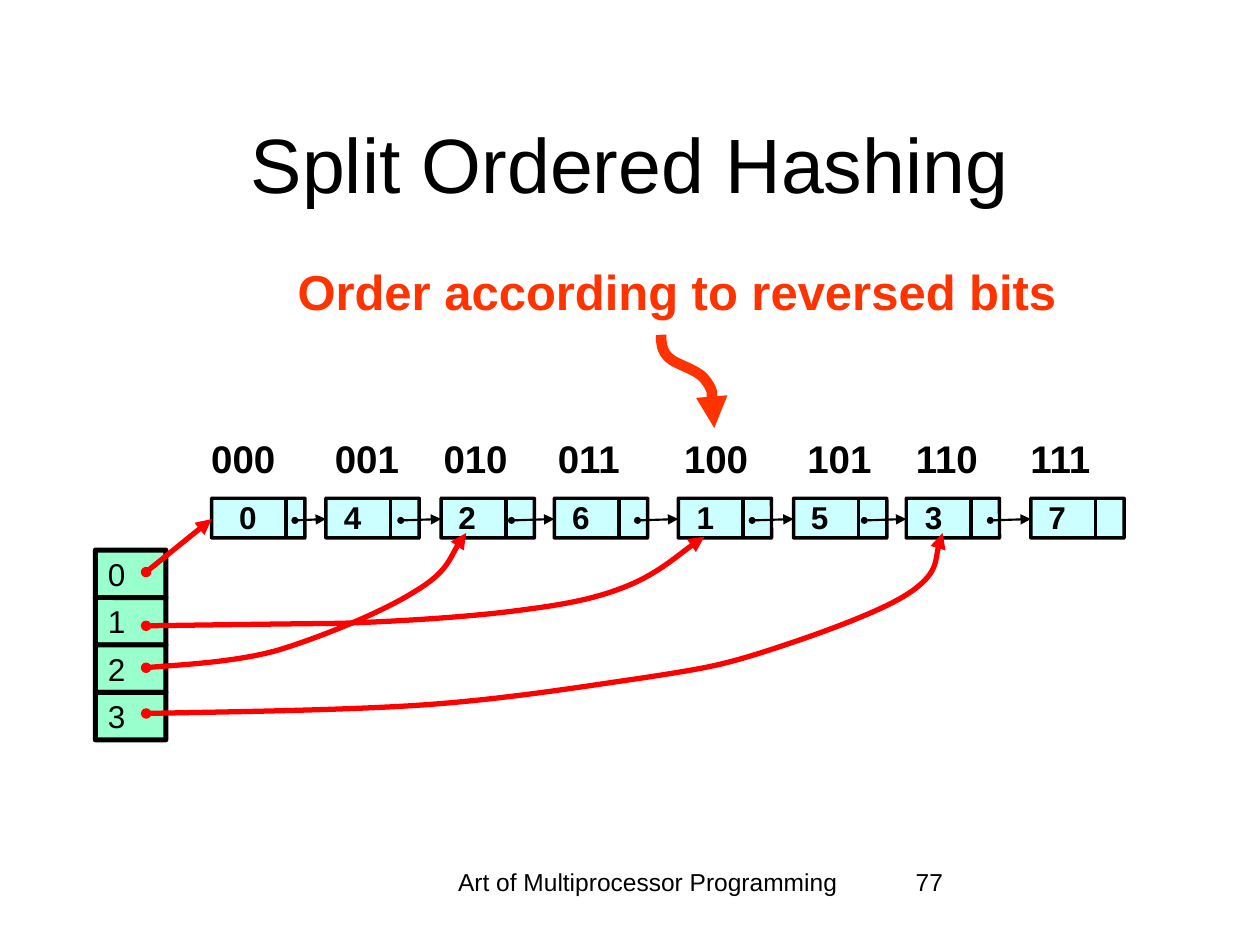
from lxml.etree import SubElement
from pptx import Presentation
from pptx.dml.color import RGBColor
from pptx.enum.shapes import MSO_CONNECTOR, MSO_SHAPE
from pptx.enum.text import MSO_ANCHOR, PP_ALIGN
from pptx.oxml.ns import qn
from pptx.util import Pt

COLORS = {
    "black": "000000",
    "label": "020202",
    "node": "CCFFFF",
    "bucket": "99FFCC",
    "pointer": "FF0000",
    "callout": "FF3300",
}

NODE_TOP, NODE_WIDTH, NODE_HEIGHT = 284.7, 53.3, 22.7
BUCKET_LEFT, BUCKET_TOP, BUCKET_WIDTH, BUCKET_HEIGHT = 54.5, 314.4, 40.3, 27.1

NODE_COLUMNS = ("key", "bits", "left", "divider", "key_left", "bits_left", "link_left")
NODES = [dict(zip(NODE_COLUMNS, row)) for row in [
    ("0", "000", 121, 42.5, 129.6, 113.6, 168.5),
    ("4", "001", 186.3, 37, 189.4, 184.3, 229),
    ("2", "010", 252.1, 37, 254.9, 246.4, 292.3),
    ("6", "011", 316.8, 37, 319.8, 311.7, 364.3),
    ("1", "100", 387.6, 37, 391, 383.8, 429.8),
    ("5", "101", 453.5, 37, 456.3, 454.3, 493.9),
    ("3", "110", 517.9, 37, 521.4, 516.3, 565.9),
    ("7", "111", 589.1, 37, 592, 581.7, None),
]]

BUCKET_CURVES = [
    [(83.5, 357.6), (120.7, 357.1), (157.9, 356.6), (195.1, 356.2),
     (229, 355), (262.8, 352.8), (289.4, 349.7),
     (316.8, 346.3), (336.2, 343.4), (355, 336.2),
     (374.4, 329), (393.1, 312.5), (402.5, 306.7)],
    [(83.5, 381.6), (96.5, 380.2), (133.9, 378.7), (159.1, 371.5),
     (185, 363.6), (219.6, 349.2), (237.6, 337.7),
     (255.6, 326.9), (260.6, 311), (266.4, 304.6)],
    [(83.5, 407.7), (110.9, 407), (198.7, 406.1), (246.2, 402.5),
     (293.8, 398.9), (337, 391.7), (368.6, 387.2),
     (399.6, 382.3), (409.7, 380.9), (434.9, 373),
     (460.1, 365), (501.8, 350.6), (519.1, 339.1),
     (536.4, 327.6), (535, 311.8), (538.6, 304.6)],
]
CALLOUT_CURVE = [
    (377.8, 191.3), (377.8, 195.6), (377.8, 200), (382.1, 204.3),
    (386.6, 208.8), (399.6, 211), (403.9, 218.2),
    (408.2, 224.6), (407.5, 239.6), (408.2, 244.6),
]


def rgb(name):
    return RGBColor.from_string(COLORS[name])


def format_text(frame, text, size, color="black", bold=False, align=PP_ALIGN.LEFT):
    frame.text = text
    para = frame.paragraphs[0]
    para.alignment = align
    for span in para.runs:
        span.font.name = "Arial"
        span.font.size = Pt(size)
        span.font.bold = bold
        span.font.color.rgb = rgb(color)


def add_text(page, text, left, top, width, height, size, **style):
    box = page.shapes.add_textbox(Pt(left), Pt(top), Pt(width), Pt(height))
    box.text_frame.word_wrap = True
    format_text(box.text_frame, text, size, **style)


def add_cell(page, left, top, width, height, fill, weight):
    cell = page.shapes.add_shape(
        MSO_SHAPE.ROUNDED_RECTANGLE, Pt(left), Pt(top), Pt(width), Pt(height))
    cell.adjustments[0] = 0.004
    cell.shadow.inherit = False
    cell.fill.solid()
    cell.fill.fore_color.rgb = rgb(fill)
    cell.line.color.rgb = rgb("black")
    cell.line.width = Pt(weight)


def style_line(shape, color, weight, dot=False, arrow=False):
    shape.line.color.rgb = rgb(color)
    shape.line.width = Pt(weight)
    outline = shape.line._get_or_add_ln()
    if dot:
        SubElement(outline, qn("a:headEnd"), type="oval", w="sm", len="sm")
    if arrow:
        SubElement(outline, qn("a:tailEnd"), type="triangle")


def add_line(page, start, end, color, weight, linked=False):
    line = page.shapes.add_connector(
        MSO_CONNECTOR.STRAIGHT, *(Pt(value) for value in start + end))
    style_line(line, color, weight, dot=linked, arrow=linked)
    SubElement(line._element.spPr, qn("a:effectLst"))


def add_curve(page, points, color, weight, dot=False):
    corners = [(Pt(x), Pt(y)) for x, y in points]
    builder = page.shapes.build_freeform(*corners[0])
    builder.add_line_segments(corners[1:], close=False)
    curve = builder.convert_to_shape()
    curve.shadow.inherit = False
    curve.fill.background()
    style_line(curve, color, weight, dot, arrow=True)
    outline = curve._element.spPr.find(".//" + qn("a:path"))
    segments = outline.findall(qn("a:lnTo"))
    for first in range(0, len(segments), 3):
        bezier = SubElement(outline, qn("a:cubicBezTo"))
        for segment in segments[first:first + 3]:
            bezier.append(segment[0])
            outline.remove(segment)


def add_title(page):
    title = page.shapes.title
    title.left, title.top, title.width, title.height = Pt(54), Pt(48), Pt(612), Pt(90)
    title.text_frame.vertical_anchor = MSO_ANCHOR.MIDDLE
    format_text(title.text_frame, "Split Ordered Hashing", 44, align=PP_ALIGN.CENTER)


def add_list(page):
    for node in NODES:
        add_cell(page, node["left"], NODE_TOP, NODE_WIDTH, NODE_HEIGHT, "node", 1.98)
        x = node["left"] + node["divider"]
        add_line(page, (x, NODE_TOP + 0.7), (x, NODE_TOP + NODE_HEIGHT), "black", 1.98)
        add_text(page, node["key"], node["key_left"], 281.2, 27, 28, 18,
                 color="label", bold=True)
        add_text(page, node["bits"], node["bits_left"], 245, 58, 33, 22, bold=True)
    for node, following in zip(NODES, NODES[1:]):
        add_line(page, (node["link_left"], 297.4), (following["left"], 296.6),
                 "black", 1.23, linked=True)


def add_buckets(page):
    for index in range(4):
        offset = index * BUCKET_HEIGHT
        add_cell(page, BUCKET_LEFT, BUCKET_TOP + offset,
                 BUCKET_WIDTH, BUCKET_HEIGHT, "bucket", 2.83)
        add_text(page, str(index), BUCKET_LEFT, BUCKET_TOP - 0.9 + offset,
                 27, 28, 18, color="label")
    add_line(page, (83.5, 326.9), (121, 296.6), "pointer", 3, linked=True)
    for points in BUCKET_CURVES:
        add_curve(page, points, "pointer", 3, dot=True)


def main():
    deck = Presentation()
    deck.slide_width, deck.slide_height = Pt(720), Pt(540)
    page = deck.slides.add_slide(deck.slide_layouts[5])
    add_title(page)
    add_list(page)
    add_buckets(page)
    add_text(page, "Order according to reversed bits", 141.8, 145.7, 490, 40.3, 28,
             color="callout", bold=True, align=PP_ALIGN.CENTER)
    add_curve(page, CALLOUT_CURVE, "callout", 6)
    add_text(page, "Art of Multiprocessor Programming", 246, 491.8, 248.4, 36, 14,
             align=PP_ALIGN.CENTER)
    add_text(page, "77", 516.2, 491.8, 149.8, 36, 14)
    deck.save("out.pptx")


if __name__ == "__main__":
    main()
